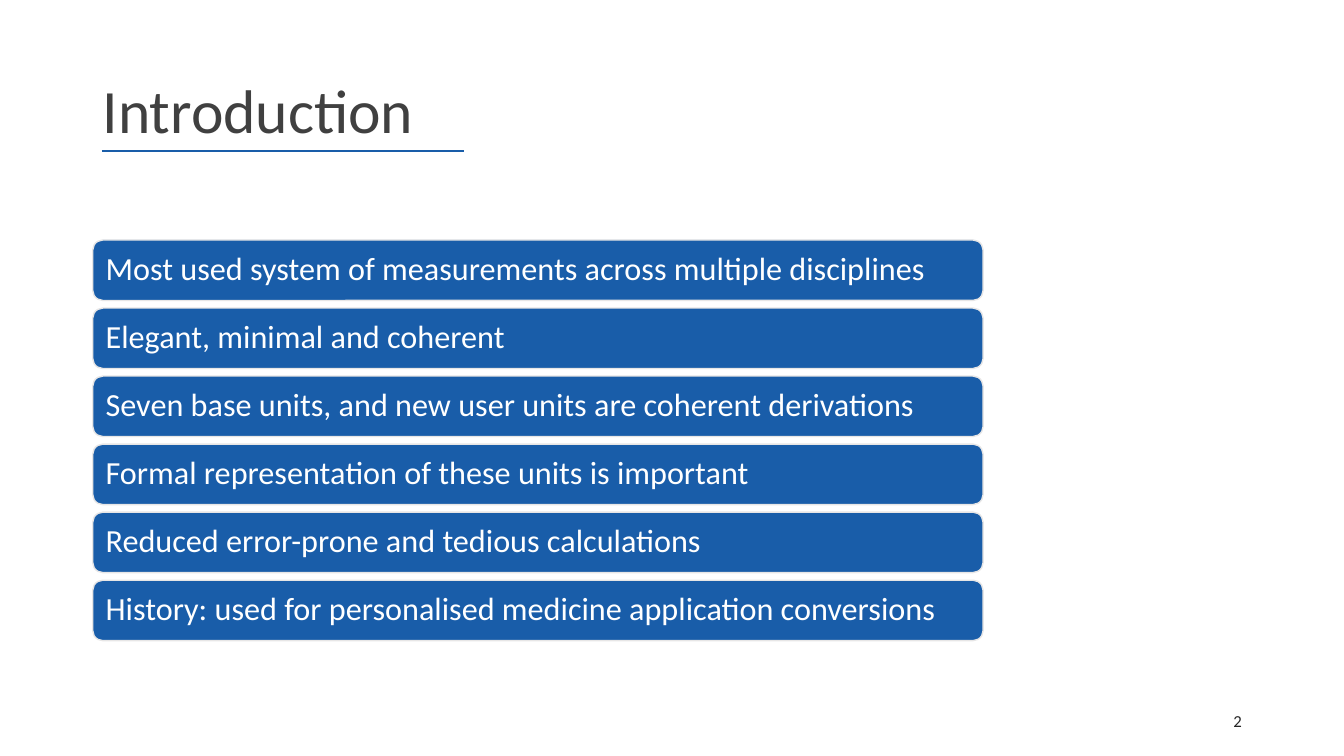
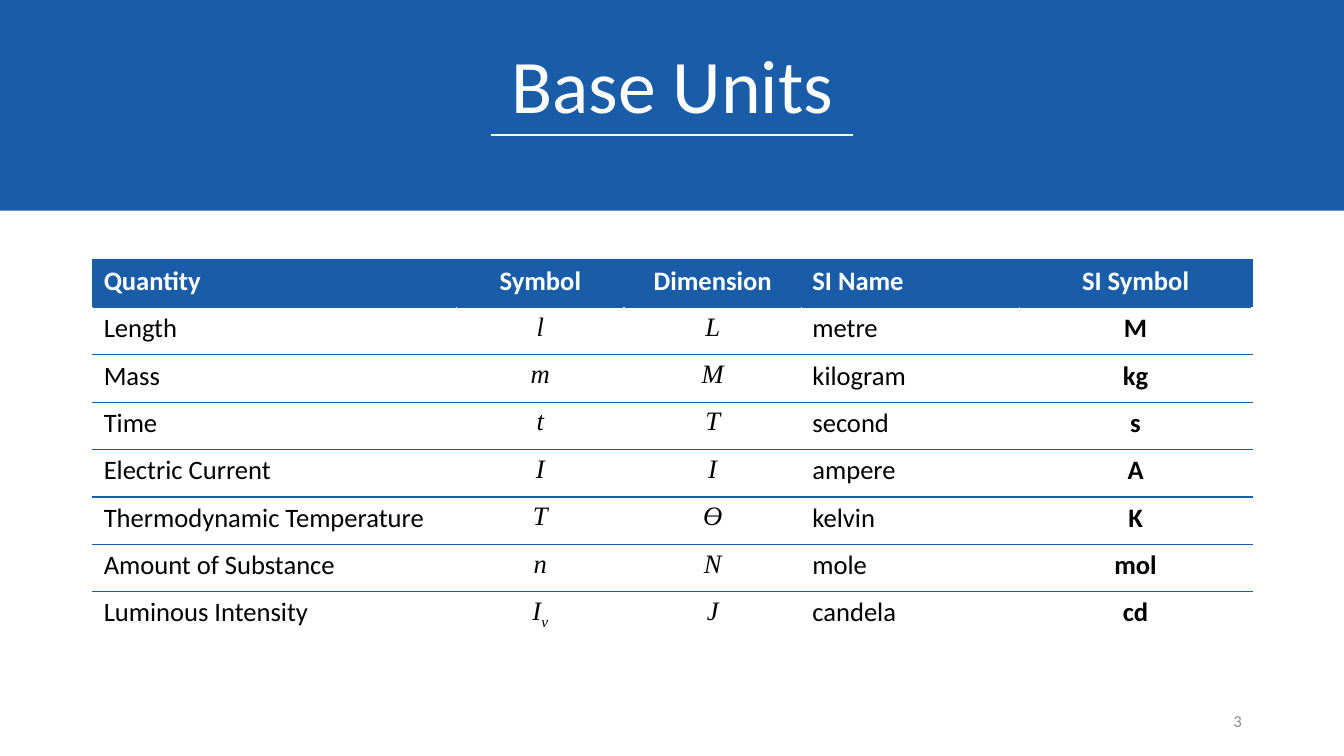
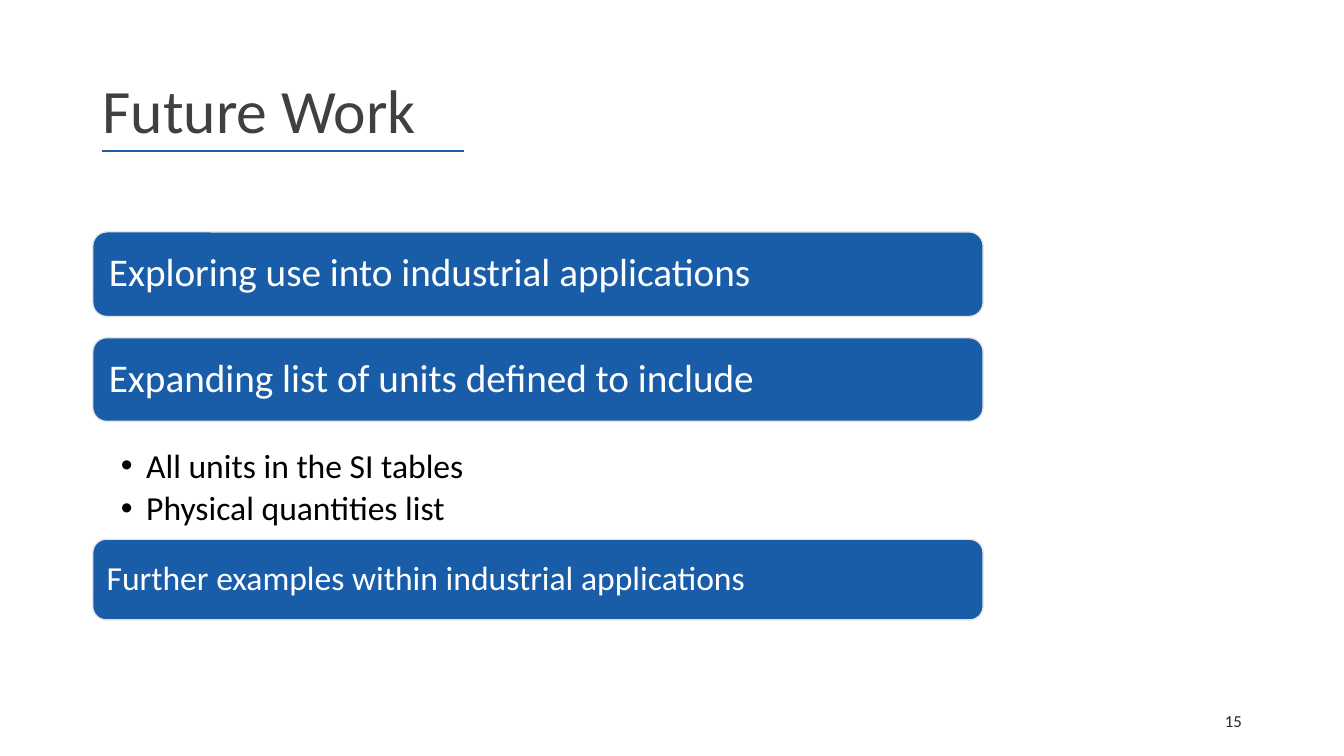
from pptx import Presentation
from pptx.dml.color import RGBColor
from pptx.enum.shapes import MSO_CONNECTOR, MSO_SHAPE
from pptx.enum.text import MSO_ANCHOR, PP_ALIGN
from pptx.oxml.ns import qn
from pptx.util import Inches, Pt
from lxml.etree import SubElement

WIDE, HIGH = 13.33, 7.5
BLUE, WHITE, BLACK = "195DA9", "FFFFFF", "000000"
DARK, PALE, INK, GREY = "404040", "E7E6E6", "262626", "8C8C8C"
SANS, SERIF = "Calibri", "Times New Roman"
LEFT, FULL, PILL, RULE = 6.9, 86.25, 66.25, 26.94
COLS = [27.08, 12.45, 13.2, 16.2, 17.33]
ROW = 6.27

FACTS = [
    "Most used system of measurements across multiple disciplines",
    "Elegant, minimal and coherent",
    "Seven base units, and new user units are coherent derivations",
    "Formal representation of these units is important",
    "Reduced error-prone and tedious calculations",
    "History: used for personalised medicine application conversions",
]
HEADS = ["Quantity", "Symbol", "Dimension", "SI Name", "SI Symbol"]
UNITS = [
    ["Length", "l", "L", "metre", "M"],
    ["Mass", "m", "M", "kilogram", "kg"],
    ["Time", "t", "T", "second", "s"],
    ["Electric Current", "I", "I", "ampere", "A"],
    ["Thermodynamic Temperature", "T", "Ɵ", "kelvin", "K"],
    ["Amount of Substance", "n", "N", "mole", "mol"],
    ["Luminous Intensity", "I", "J", "candela", "cd"],
]
PLANS = [
    ("Exploring use into industrial applications", 30.67, 11.2, 28, 0.12),
    ("Expanding list of units defined to include", 44.67, 11.07, 28, 0.12),
    ("Further examples within industrial applications", 71.33, 10.67, 24, 0.1),
]
GOALS = ["All units in the SI tables", "Physical quantities list"]


def across(share):
    return Inches(WIDE * share / 100)


def down(share):
    return Inches(HIGH * share / 100)


def area(left, top, width, height):
    return across(left), down(top), across(width), down(height)


def color(code):
    return RGBColor.from_string(code)


def paint(shape, fill, line=None):
    shape.shadow.inherit = False
    shape.fill.solid()
    shape.fill.fore_color.rgb = color(fill)
    if line:
        shape.line.color.rgb = color(line)
        shape.line.width = Pt(1)
    else:
        shape.line.fill.background()


def style(para, size, code, align=PP_ALIGN.LEFT, space=None, face=SANS, bold=False, slant=False):
    para.alignment = align
    para.line_spacing = space
    for run in para.runs:
        font = run.font
        font.name, font.size = face, Pt(size)
        font.bold, font.italic = bold, slant
        font.color.rgb = color(code)


def label(slide, text, box, anchor=MSO_ANCHOR.MIDDLE, **look):
    frame = slide.shapes.add_textbox(*area(*box)).text_frame
    frame.word_wrap = True
    frame.vertical_anchor = anchor
    frame.text = text
    for para in frame.paragraphs:
        style(para, **look)
    return frame


def rule(slide, left, top, code):
    line = slide.shapes.add_connector(
        MSO_CONNECTOR.STRAIGHT, across(left), down(top), across(left + RULE), down(top))
    line.line.color.rgb = color(code)
    line.line.width = Pt(1.5)
    SubElement(line._element.spPr, qn("a:effectLst"))


def number(slide, text, code=INK):
    label(slide, text, (70.65, 92.67, 22.5, 5.33), size=12, code=code, align=PP_ALIGN.RIGHT)


def heading(slide, text):
    label(slide, text, (LEFT, 5.33, FULL, 19.33), size=44, code=DARK, space=0.9)
    rule(slide, 7.58, 20, BLUE)


def banner(slide, text):
    band = slide.shapes.add_shape(MSO_SHAPE.RECTANGLE, *area(0, 0, 100, 27.87))
    paint(band, BLUE)
    label(slide, text, (LEFT, 4.27, FULL, 13.6), MSO_ANCHOR.BOTTOM,
          size=54, code=WHITE, align=PP_ALIGN.CENTER, space=0.9)
    rule(slide, (100 - RULE) / 2, 17.87, WHITE)


def pill(slide, text, top, height, size, inset):
    shape = slide.shapes.add_shape(MSO_SHAPE.ROUNDED_RECTANGLE, *area(LEFT, top, PILL, height))
    paint(shape, BLUE, PALE)
    frame = shape.text_frame
    frame.word_wrap = True
    frame.vertical_anchor = MSO_ANCHOR.MIDDLE
    frame.margin_left = frame.margin_right = Inches(inset)
    frame.margin_top = frame.margin_bottom = Inches(inset)
    frame.text = text
    style(frame.paragraphs[0], size, WHITE, space=0.9)


def bullets(slide, items, top, height):
    frame = label(slide, "\n".join(items), (LEFT, top, PILL, height), MSO_ANCHOR.TOP,
                  size=24, code=BLACK, space=0.9)
    frame.margin_left, frame.margin_right = Inches(0.28), Inches(0.19)
    frame.margin_top = frame.margin_bottom = Inches(0.03)
    frame.paragraphs[0].line_spacing = 1.5
    for para in frame.paragraphs:
        para.space_after = Pt(5)
        props = para._p.get_or_add_pPr()
        props.set("marL", str(Inches(0.25)))
        props.set("indent", str(-Inches(0.25)))
        SubElement(props, qn("a:buFont")).set("typeface", "Arial")
        SubElement(props, qn("a:buChar")).set("char", "•")


def border(cell, sides):
    props = cell._tc.get_or_add_tcPr()
    for side, code in zip("LRTB", sides):
        line = SubElement(props, qn("a:ln" + side))
        line.set("w", str(Pt(1)))
        fill = SubElement(line, qn("a:solidFill"))
        SubElement(fill, qn("a:srgbClr")).set("val", code)


def fill_cell(cell, text, col, head, last):
    side = BLUE if head else WHITE
    border(cell, (side, side, BLUE, WHITE if last else BLUE))
    cell.fill.solid()
    cell.fill.fore_color.rgb = color(side)
    cell.margin_left = cell.margin_right = Inches(0.11)
    cell.text = text
    math = not head and col in (1, 2)
    style(cell.text_frame.paragraphs[0], 19, WHITE if head else BLACK,
          PP_ALIGN.LEFT if col in (0, 3) else PP_ALIGN.CENTER,
          face=SERIF if math else SANS, bold=head or col == 4, slant=math)


def grid(slide, rows, top):
    box = area(LEFT, top, sum(COLS), ROW * len(rows))
    table = slide.shapes.add_table(len(rows), len(COLS), *box).table
    table.horz_banding = table.first_row = False
    for col, share in zip(table.columns, COLS):
        col.width = across(share)
    for r, row in enumerate(rows):
        table.rows[r].height = down(ROW)
        for c, text in enumerate(row):
            fill_cell(table.cell(r, c), text, c, r == 0, r == len(rows) - 1)
    return table


def lower(cell, text):
    para = cell.text_frame.paragraphs[0]
    run = para.add_run()
    run.text = text
    style(para, 19, BLACK, PP_ALIGN.CENTER, face=SERIF, slant=True)
    run._r.get_or_add_rPr().set("baseline", "-25000")


def intro(slide):
    heading(slide, "Introduction")
    for i, fact in enumerate(FACTS):
        pill(slide, fact, 31.75 + 9 * i, 8, 23, 0.1)
    number(slide, "2")


def base(slide):
    banner(slide, "Base Units")
    table = grid(slide, [HEADS] + UNITS, 34.4)
    lower(table.cell(len(UNITS), 1), "v")
    number(slide, "3", GREY)


def future(slide):
    heading(slide, "Future Work")
    for plan in PLANS:
        pill(slide, *plan)
    bullets(slide, GOALS, 55.73, 15.73)
    number(slide, "15")


def main():
    deck = Presentation()
    deck.slide_width, deck.slide_height = Inches(WIDE), Inches(HIGH)
    for build in (intro, base, future):
        build(deck.slides.add_slide(deck.slide_layouts[6]))
    deck.save("out.pptx")


if __name__ == "__main__":
    main()
